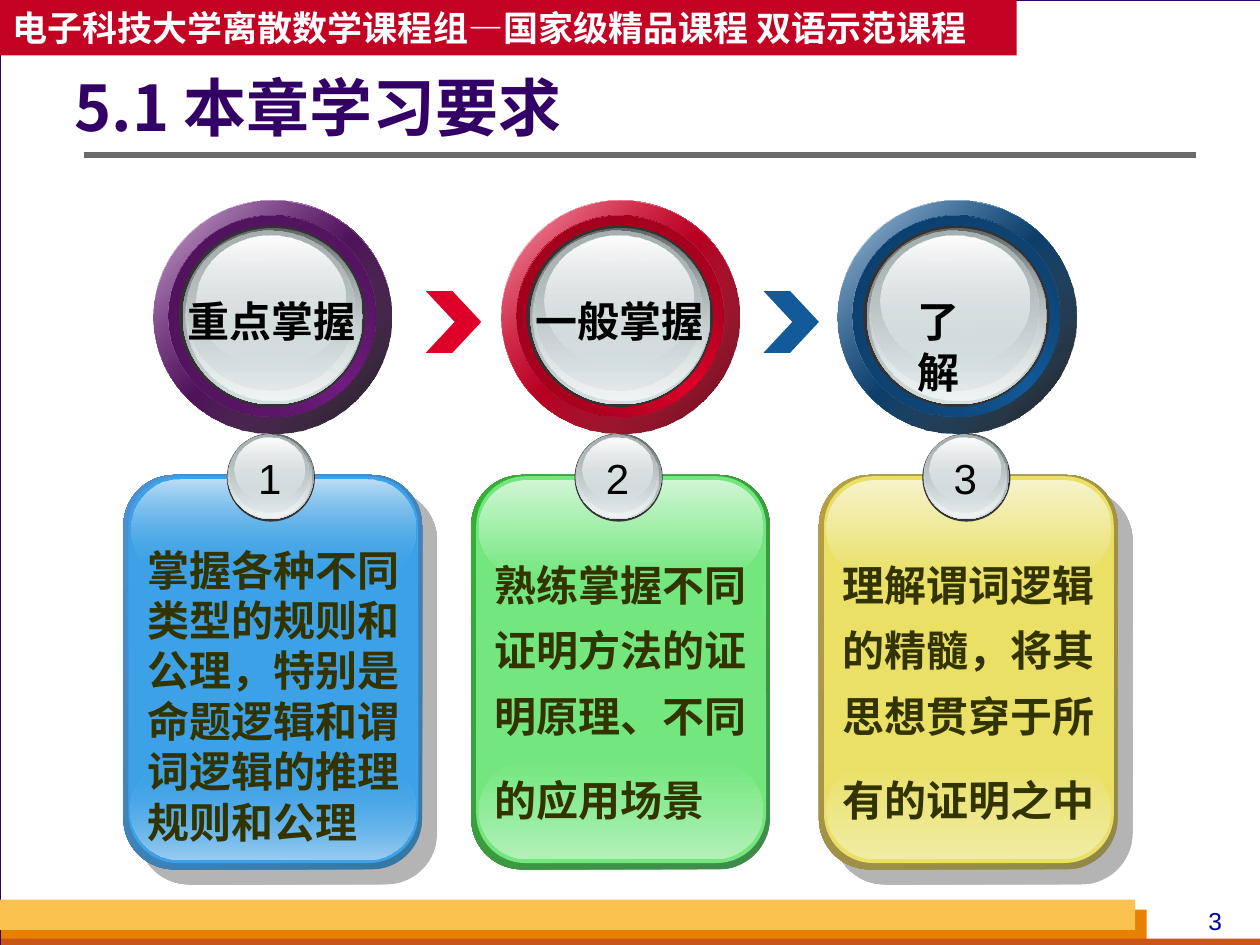
"""Build the chapter requirements slide with three rings and three numbered cards."""
from pptx import Presentation
from pptx.dml.color import RGBColor
from pptx.enum.shapes import MSO_CONNECTOR, MSO_SHAPE as SHAPE
from pptx.enum.text import MSO_ANCHOR as ANCHOR, PP_ALIGN as ALIGN
from pptx.oxml import parse_xml
from pptx.oxml.ns import nsdecls, qn
from pptx.util import Pt

PX = 9144
CJK = "Noto Sans CJK SC"
rgb = RGBColor.from_string


def add_shape(kind, x, y, w, h, fill, ang=90, adj=None):
    sp = s.shapes.add_shape(kind, x * PX, y * PX, w * PX, h * PX)
    sp.shadow.inherit = False
    if adj is not None:
        sp.adjustments[0] = adj
    if isinstance(fill, str):
        sp.fill.solid()
        sp.fill.fore_color.rgb = rgb(fill)
    else:
        stops = "".join(
            f'<a:gs pos="{pos * 1000}"><a:srgbClr val="{color}">'
            f'<a:alpha val="{alpha * 1000}"/></a:srgbClr></a:gs>'
            for pos, color, alpha in fill)
        sp.element.spPr.insert(2, parse_xml(
            f'<a:gradFill {nsdecls("a")} rotWithShape="1"><a:gsLst>{stops}</a:gsLst>'
            f'<a:lin ang="{ang * 60000}" scaled="0"/></a:gradFill>'))
    sp.line.fill.background()
    return sp


def add_text(sp, text, size, color, font=CJK, bold=False, align=ALIGN.LEFT,
             anchor=ANCHOR.TOP, wrap=True, spacing=None, tail=None):
    tf = sp.text_frame
    tf.word_wrap = wrap
    tf.vertical_anchor = anchor
    p = tf.paragraphs[0]
    p.alignment = align
    if spacing:
        p.line_spacing = spacing
    runs = [(text, size)] + ([(" ", tail)] if tail else [])
    for words, points in runs:
        r = p.add_run()
        r.text = words
        r.font.size = Pt(points)
        r.font.bold = bold
        r.font.name = font
        r.font.color.rgb = rgb(color)
        ea = parse_xml(f'<a:ea {nsdecls("a")} typeface="{CJK}"/>')
        r.font._element.find(qn("a:latin")).addnext(ea)


prs = Presentation()
prs.slide_width, prs.slide_height = 1000 * PX, 750 * PX
s = prs.slides.add_slide(prs.slide_layouts[5])

frame = add_shape(SHAPE.RECTANGLE, 0, 0, 1001, 750, "FFFFFF")
frame.line.color.rgb = rgb("330066")
frame.line.width = Pt(0.75)
for x, y, w, h, color in [(1, 722, 909, 28, "E88000"), (1, 745, 1000, 8, "C95616"),
                          (0, 714, 901, 24, "FCC24F")]:
    add_shape(SHAPE.RECTANGLE, x, y, w, h, color)

number = s.shapes.add_textbox(933 * PX, 714 * PX, 63 * PX, 34 * PX)
add_text(number, "3", 14, "000099", font="Arial", align=ALIGN.CENTER)

rule = s.shapes.add_connector(MSO_CONNECTOR.STRAIGHT, 67 * PX, 123 * PX, 949 * PX, 123 * PX)
rule.line.color.rgb = rgb("6B6B6B")
rule.line.width = Pt(3)
rule.element.spPr.append(parse_xml(f'<a:effectLst {nsdecls("a")}/>'))

banner = add_shape(SHAPE.RECTANGLE, 0, 0, 807, 44, "C30224")
add_text(banner, "电子科技大学离散数学课程组—国家级精品课程 双语示范课程", 20, "FFFFFF",
         bold=True, anchor=ANCHOR.MIDDLE, wrap=False)

title = s.shapes.title
title.left, title.top, title.width, title.height = 59 * PX, 54 * PX, 778 * PX, 69 * PX
title.text_frame.margin_left = 0
add_text(title, "5.1 本章学习要求", 36, "330066", bold=True, anchor=ANCHOR.MIDDLE, spacing=0.9)
title.element.getparent().append(title.element)

GLASS = ["333333",
         [(0, "626768", 100), (100, "D6E1E2", 100)],
         [(0, "D6E1E2", 0), (100, "EFF3F3", 100)],
         [(0, "A8B1B2", 100), (100, "D6E1E2", 48)],
         [(0, "FEFEFE", 100), (100, "D6E1E2", 38)]]
BADGE = [(82, 344, 70, 70), (83, 344, 68, 68), (83, 345, 66, 66), (84, 345, 63, 62),
         (88, 347, 56, 50)]
LENS = [(20, 179, 148, 144), (23, 181, 143, 140), (25, 182, 140, 136), (26, 183, 133, 127),
        (34, 187, 118, 103)]

cards = [
    (98, "1", "3477A4", "4E91D4", "3CA1E6", "9ACDF1", "BDDEF5", True, None, None,
     "掌握各种不同类型的规则和公理，特别是命题逻辑和谓词逻辑的推理规则和公理"),
    (374, "2", "3F8B4A", "34B034", "73E77E", "B1F0B7", "CFF6D3", False, 1.3, 32,
     "熟练掌握不同证明方法的证明原理、不同的应用场景"),
    (650, "3", "8F8849", "B59F43", "E9E065", "F1ECA5", "F6F3CA", True, 1.3, 32,
     "理解谓词逻辑的精髓，将其思想贯穿于所有的证明之中"),
]
for x, num, dark, edge, face, low, high, shadow, spacing, tail, words in cards:
    back = add_shape(SHAPE.ROUNDED_RECTANGLE, x, 377, 237, 313,
                     [(0, dark, 100), (100, edge, 100)], 225, 0.17)
    if shadow:
        back.element.spPr.find(qn("a:effectLst")).append(parse_xml(
            f'<a:outerShdw {nsdecls("a")} dist="{Pt(12.1)}" dir="2700000" algn="ctr" '
            'rotWithShape="0"><a:srgbClr val="6B6B6B"><a:alpha val="50000"/>'
            '</a:srgbClr></a:outerShdw>'))
    add_shape(SHAPE.ROUNDED_RECTANGLE, x + 4, 378, 230, 307, face, adj=0.17)
    fade = 0 if num == "1" else 100
    add_shape(SHAPE.ROUNDED_RECTANGLE, x + 6, 604, 226, 78,
              [(0, face, fade), (100, low, 100)], adj=0.5)
    add_shape(SHAPE.ROUNDED_RECTANGLE, x + 6, 381, 226, 77,
              [(0, high, 100), (100, face, fade)], adj=0.5)
    for (dx, y, w, h), fill in zip(BADGE, GLASS):
        add_shape(SHAPE.OVAL, x + dx, y, w, h, fill)
    label = s.shapes.add_textbox((x + 97) * PX, 354 * PX, 38 * PX, 50 * PX)
    add_text(label, num, 24, "000000", font="Arial", align=ALIGN.CENTER, wrap=False)
    body = s.shapes.add_textbox((x + 9) * PX, 427 * PX, 225 * PX, 250 * PX)
    add_text(body, words, 24, "333300", bold=True, spacing=spacing, tail=tail)

rings = [(122, "711C81", "3C0F45", "471151", ("000000", 90), "重点掌握", 17, 153),
         (398, "DF0029", "780016", "8D0019", ("660012", 100), "一般掌握", 17, 156),
         (665, "135A9A", "0A3053", "0C3861", ("000000", 90), "了解", 53, 86)]
for x, color, dark, deep, (shade, alpha), words, dx, width in rings:
    outer, inner = (x, 159, 189, 185), (x + 12, 171, 164, 160)
    for box, fill, ang in [
            (outer, [(0, "FEFEFE", 100), (50, color, 100), (100, "FEFEFE", 100)], 225),
            (outer, [(0, shade, alpha), (100, color, 32)], 225),
            (inner, [(0, dark, 100), (50, color, 100), (100, dark, 100)], 135),
            (inner, [(0, color, 0), (100, deep, 100)], 225)]:
        add_shape(SHAPE.OVAL, *box, fill, ang)
    for (left, y, w, h), fill in zip(LENS, GLASS):
        add_shape(SHAPE.OVAL, x + left, y, w, h, fill)
    label = s.shapes.add_textbox((x + dx) * PX, 230 * PX, width * PX, 50 * PX)
    add_text(label, words, 24, "000000", font="Arial", bold=True, wrap=False)

for x, color in [(338, "DF0029"), (606, "135A9A")]:
    add_shape(SHAPE.CHEVRON, x, 231, 44, 49, color, adj=0.52)

prs.save("out.pptx")
